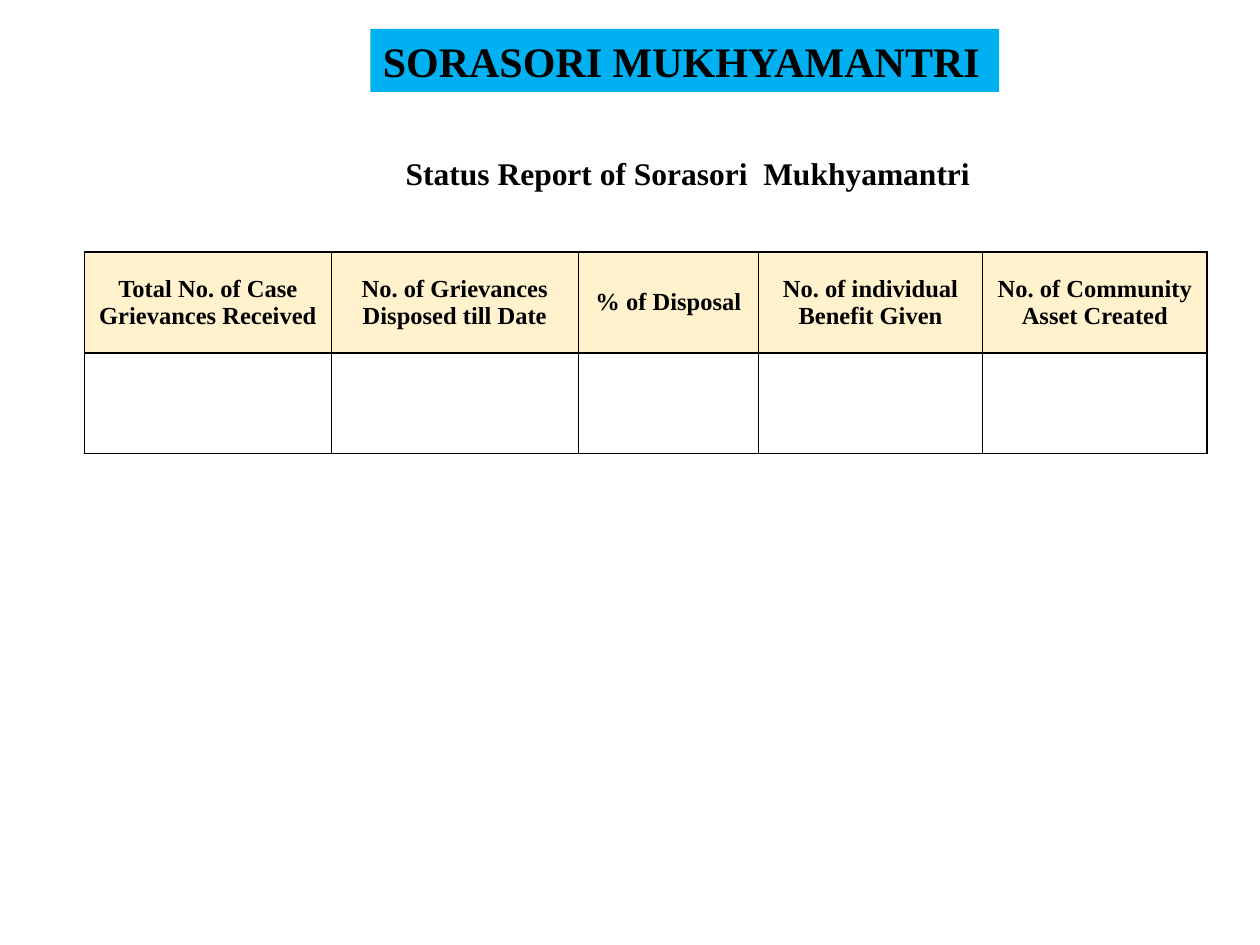
from dataclasses import dataclass

from lxml.etree import SubElement
from pptx import Presentation
from pptx.dml.color import RGBColor
from pptx.enum.shapes import MSO_SHAPE
from pptx.enum.text import MSO_ANCHOR, PP_ALIGN
from pptx.oxml.ns import qn
from pptx.util import Inches, Pt


@dataclass(frozen=True)
class Theme:
    font: str = "Times New Roman"
    ink: str = "000000"
    banner: str = "00B0F0"
    header: str = "FFF2CC"
    title_size: int = 24
    subtitle_size: int = 18
    header_size: int = 14
    border_width: int = 1


@dataclass(frozen=True)
class Column:
    heading: str
    width: float


THEME = Theme()
ROW_HEIGHT = 0.8
ROW_COUNT = 2
COLUMNS = [
    Column("Total No. of Case Grievances Received", 1.96),
    Column("No. of Grievances Disposed till Date", 1.96),
    Column("% of Disposal", 1.43),
    Column("No. of individual Benefit Given", 1.78),
    Column("No. of Community Asset Created", 1.78),
]


def write_text(frame, text: str, *, size: int, align=PP_ALIGN.CENTER,
               bold: bool = True, color: str = THEME.ink) -> None:
    frame.word_wrap = True
    para = frame.paragraphs[0]
    para.alignment = align
    span = para.add_run()
    span.text = text
    span.font.name = THEME.font
    span.font.size = Pt(size)
    span.font.bold = bold
    span.font.color.rgb = RGBColor.from_string(color)


def add_borders(cell) -> None:
    properties = cell._tc.get_or_add_tcPr()
    for side in ("a:lnL", "a:lnR", "a:lnT", "a:lnB"):
        line = SubElement(properties, qn(side), w=str(Pt(THEME.border_width)))
        fill = SubElement(line, qn("a:solidFill"))
        SubElement(fill, qn("a:srgbClr"), val=THEME.ink)


def add_banner(slide) -> None:
    banner = slide.shapes.add_shape(
        MSO_SHAPE.RECTANGLE, Inches(2.94), Inches(0.23), Inches(4.99), Inches(0.5))
    banner.shadow.inherit = False
    banner.fill.solid()
    banner.fill.fore_color.rgb = RGBColor.from_string(THEME.banner)
    banner.line.fill.background()
    write_text(banner.text_frame, "SORASORI MUKHYAMANTRI",
               size=THEME.title_size, align=PP_ALIGN.LEFT)


def add_status_table(slide) -> None:
    width = sum(column.width for column in COLUMNS)
    table = slide.shapes.add_table(
        ROW_COUNT, len(COLUMNS), Inches(0.67), Inches(2),
        Inches(width), Inches(ROW_HEIGHT * ROW_COUNT)).table
    table.first_row = table.horz_banding = False
    for row in table.rows:
        row.height = Inches(ROW_HEIGHT)
    for cell in table.iter_cells():
        add_borders(cell)
        cell.fill.background()
    for index, column in enumerate(COLUMNS):
        table.columns[index].width = Inches(column.width)
        cell = table.cell(0, index)
        cell.vertical_anchor = MSO_ANCHOR.MIDDLE
        cell.fill.solid()
        cell.fill.fore_color.rgb = RGBColor.from_string(THEME.header)
        write_text(cell.text_frame, column.heading, size=THEME.header_size)


def add_subtitle(slide) -> None:
    box = slide.shapes.add_textbox(Inches(2.96), Inches(1.17), Inches(5), Inches(0.4))
    write_text(box.text_frame, "Status Report of Sorasori  Mukhyamantri",
               size=THEME.subtitle_size)


def main() -> None:
    deck = Presentation()
    deck.slide_width, deck.slide_height = Inches(10), Inches(7.5)
    slide = deck.slides.add_slide(deck.slide_layouts[6])

    # Title, table and subtitle, from back to front
    add_banner(slide)
    add_status_table(slide)
    add_subtitle(slide)
    deck.save("out.pptx")


if __name__ == "__main__":
    main()
